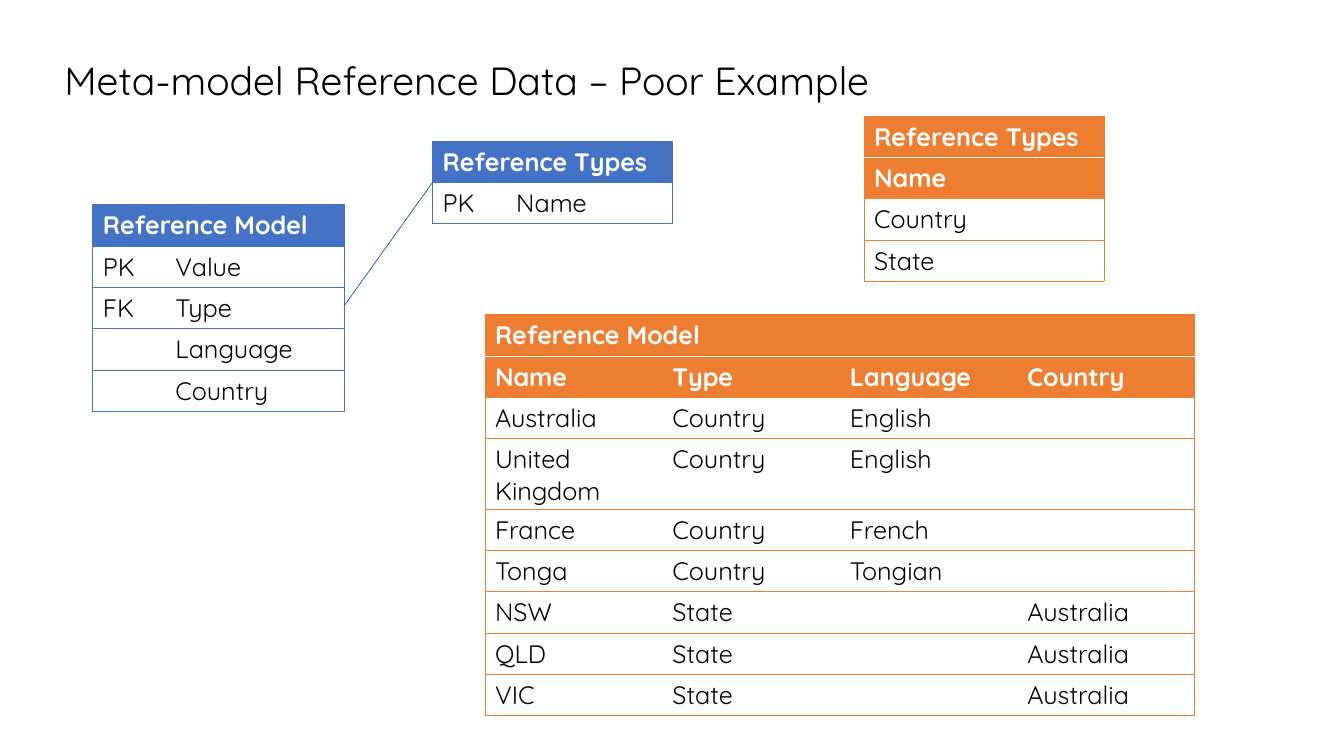
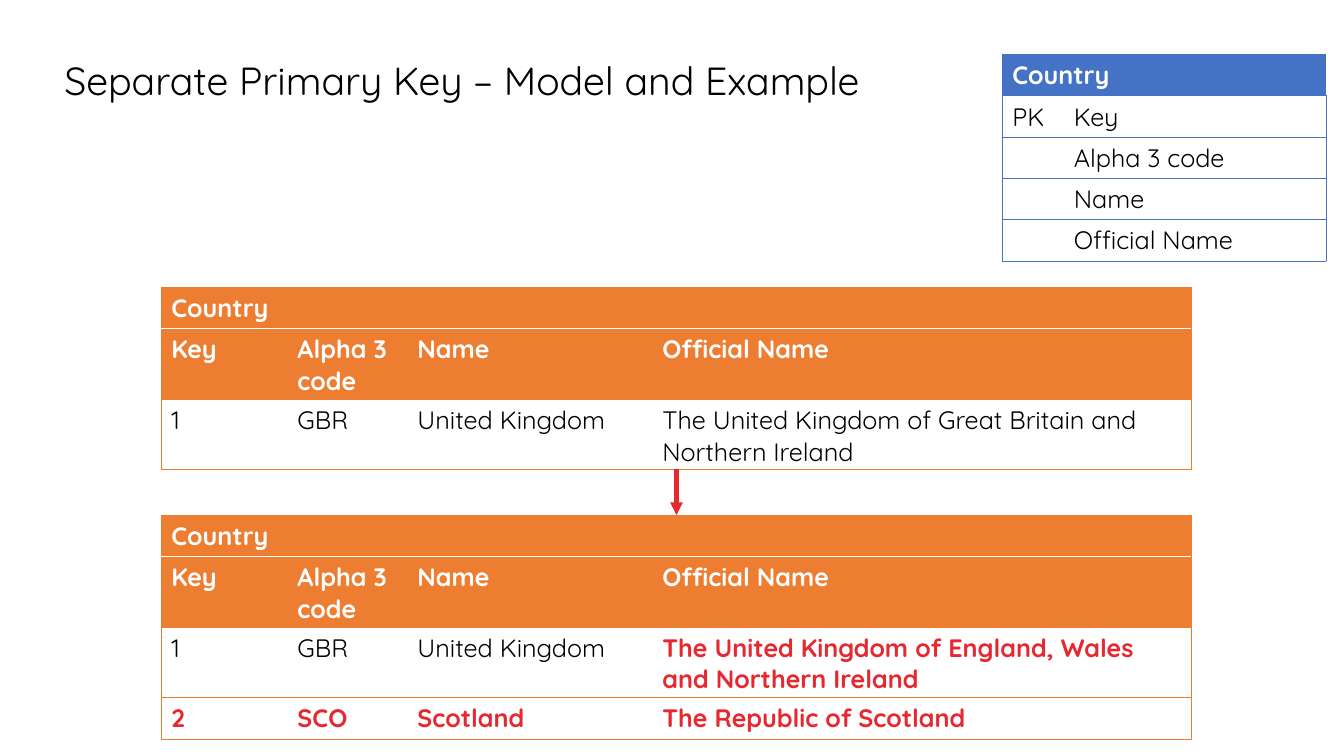
import pptx
import pptx.dml.color
import pptx.enum.dml
import pptx.enum.shapes
import pptx.enum.text
import pptx.oxml
import pptx.oxml.ns
import pptx.util

Inches = pptx.util.Inches
Pt = pptx.util.Pt
RGBColor = pptx.dml.color.RGBColor

FONT = "Quicksand"
BLACK = RGBColor(0x00, 0x00, 0x00)
WHITE = RGBColor(0xFF, 0xFF, 0xFF)
BLUE = RGBColor(0x44, 0x72, 0xC4)
DARK_BLUE = RGBColor(0x26, 0x54, 0xAC)
ORANGE = RGBColor(0xED, 0x7D, 0x31)
RED = RGBColor(0xE6, 0x28, 0x30)
ROW_HEIGHT = 0.41
DRAWING_NS = pptx.oxml.ns.nsdecls("a")


def add_entity(page, left, top, widths, rows, accent, header_rows, title_span, changed=()):
    """Add a ruled table; cells at the (row, column) places in changed are bold red."""
    frame = page.shapes.add_table(
        len(rows), len(widths), Inches(left), Inches(top),
        Inches(sum(widths)), Inches(ROW_HEIGHT * len(rows)))
    table = frame.table
    table.first_row = table.horz_banding = False
    for column, width in zip(table.columns, widths):
        column.width = Inches(width)
    for row in table.rows:
        row.height = Inches(ROW_HEIGHT)

    for r, values in enumerate(rows):
        for c in range(len(widths)):
            cell = table.cell(r, c)
            cell.text = values[c] if c < len(values) else ""
            header = r < header_rows
            font = cell.text_frame.paragraphs[0].font
            font.name = FONT
            font.size = Pt(18)
            font.bold = header or (r, c) in changed
            font.color.rgb = WHITE if header else RED if (r, c) in changed else BLACK
            if header:
                cell.fill.solid()
                cell.fill.fore_color.rgb = accent
            else:
                cell.fill.background()

            borders = {
                "lnL": accent if c == 0 else None,
                "lnR": accent if c == len(widths) - 1 else None,
                "lnT": WHITE if 0 < r < header_rows else accent,
                "lnB": WHITE if r + 1 < header_rows else accent,
            }
            properties = cell._tc.get_or_add_tcPr()
            for place, (tag, color) in enumerate(borders.items()):
                paint = (f'<a:solidFill><a:srgbClr val="{color}"/></a:solidFill>'
                         if color is not None else "<a:noFill/>")
                properties.insert(place, pptx.oxml.parse_xml(
                    f'<a:{tag} {DRAWING_NS} w="{Pt(0.5)}">{paint}</a:{tag}>'))
    if title_span > 1:
        table.cell(0, 0).merge(table.cell(0, title_span - 1))


def add_line(page, start, end, color, width):
    line = page.shapes.add_connector(
        pptx.enum.shapes.MSO_CONNECTOR.STRAIGHT,
        *(Inches(value) for value in (*start, *end)))
    line.line.color.rgb = color
    line.line.width = Pt(width)
    line._element.spPr.append(pptx.oxml.parse_xml(f"<a:effectLst {DRAWING_NS}/>"))
    return line


deck = pptx.Presentation()
deck.slide_width = Inches(13.33)
deck.slide_height = Inches(7.5)

pages = []
for title, width in (("Meta-model Reference Data – Poor Example", 10.59),
                     ("Separate Primary Key – Model and Example", 12.21)):
    page = deck.slides.add_slide(deck.slide_layouts[6])
    box = page.shapes.add_textbox(Inches(0.54), Inches(0.54), Inches(width), Inches(0.56))
    box.text_frame.word_wrap = True
    box.text_frame.vertical_anchor = pptx.enum.text.MSO_ANCHOR.MIDDLE
    para = box.text_frame.paragraphs[0]
    para.text = title
    para.line_spacing = 0.9
    para.font.name = FONT
    para.font.size = Pt(28)
    para.font.color.rgb = BLACK
    pages.append(page)
poor_example, separate_key = pages

# Poor example: the model in blue, its data in orange
add_entity(poor_example, 0.92, 2.03, [0.72, 1.78], [
    ["Reference Model"],
    ["PK", "Value"],
    ["FK", "Type"],
    ["", "Language"],
    ["", "Country"],
], BLUE, header_rows=1, title_span=2)
add_entity(poor_example, 4.29, 1.4, [0.73, 1.65], [
    ["Reference Types"],
    ["PK", "Name"],
], BLUE, header_rows=1, title_span=2)
add_line(poor_example, (3.41, 3.04), (4.29, 1.81), DARK_BLUE, 0.5)
add_entity(poor_example, 4.81, 3.12, [1.76] * 4, [
    ["Reference Model"],
    ["Name", "Type", "Language", "Country"],
    ["Australia", "Country", "English"],
    ["United Kingdom", "Country", "English"],
    ["France", "Country", "French"],
    ["Tonga", "Country", "Tongian"],
    ["NSW", "State", "", "Australia"],
    ["QLD", "State", "", "Australia"],
    ["VIC", "State", "", "Australia"],
], ORANGE, header_rows=2, title_span=2)
add_entity(poor_example, 8.57, 1.15, [2.38], [
    ["Reference Types"],
    ["Name"],
    ["Country"],
    ["State"],
], ORANGE, header_rows=2, title_span=1)

# Separate key: the model, then the data before and after the change
add_entity(separate_key, 9.94, 0.54, [0.61, 2.6], [
    ["Country"],
    ["PK", "Key"],
    ["", "Alpha 3 code"],
    ["", "Name"],
    ["", "Official Name"],
], BLUE, header_rows=1, title_span=2)
country_header = [["Country"], ["Key", "Alpha 3 code", "Name", "Official Name"]]
before = [["1", "GBR", "United Kingdom",
           "The United Kingdom of Great Britain and Northern Ireland"]]
after = [["1", "GBR", "United Kingdom",
          "The United Kingdom of England, Wales and Northern Ireland"],
         ["2", "SCO", "Scotland", "The Republic of Scotland"]]
changed_cells = [(2, 3), (3, 0), (3, 1), (3, 2), (3, 3)]
for top, records, changed in ((2.85, before, []), (5.11, after, changed_cells)):
    add_entity(separate_key, 1.6, top, [1.25, 1.19, 2.43, 5.35],
               country_header + records, ORANGE, 2, 4, changed)

arrow = add_line(separate_key, (6.71, 4.65), (6.71, 5.11), RED, 3)
arrow.line._get_or_add_ln().append(
    pptx.oxml.parse_xml(f'<a:tailEnd {DRAWING_NS} type="triangle"/>'))

deck.save("out.pptx")
